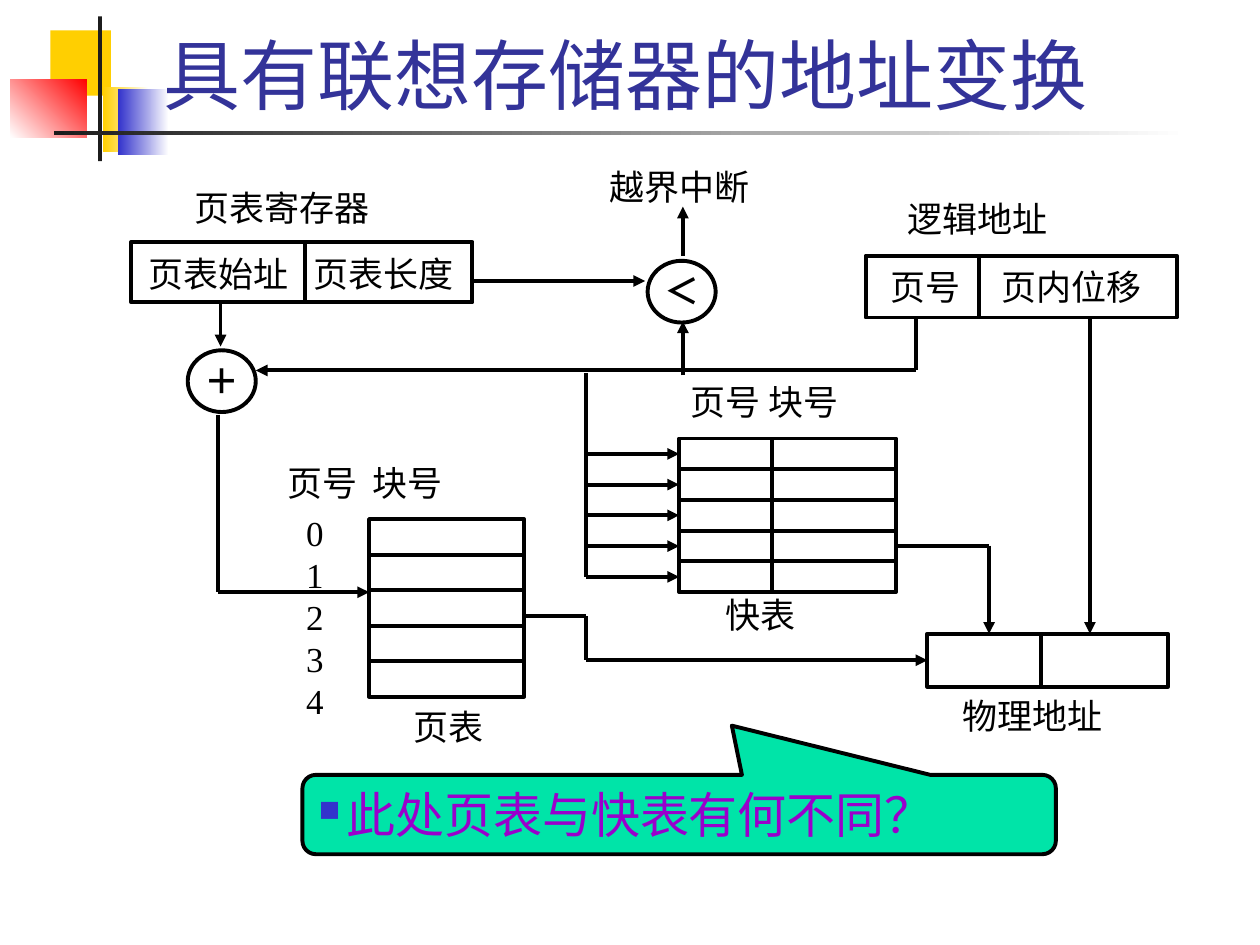
import pptx
import pptx.util
import pptx.dml.color
import pptx.enum.shapes
import pptx.enum.text
from lxml import etree
from pptx.oxml.ns import qn

Inches, Pt = pptx.util.Inches, pptx.util.Pt
RGBColor = pptx.dml.color.RGBColor
SHAPE = pptx.enum.shapes.MSO_SHAPE
ALIGN = pptx.enum.text.PP_ALIGN
ANCHOR = pptx.enum.text.MSO_ANCHOR

BLACK = RGBColor(0x00, 0x00, 0x00)
WHITE = RGBColor(0xFF, 0xFF, 0xFF)
CHARCOAL = RGBColor(0x1C, 0x1C, 0x1C)
YELLOW = RGBColor(0xFF, 0xCF, 0x01)
RED = RGBColor(0xFF, 0x00, 0x00)
BLUE = RGBColor(0x33, 0x33, 0xCC)
NAVY = RGBColor(0x33, 0x33, 0x99)
GREEN = RGBColor(0x00, 0xE4, 0xA8)
PURPLE = RGBColor(0x99, 0x00, 0xCC)

# Boxes are (left, top, width, height) in inches.
TABLE_REGISTER = (1.04, 1.92, 2.71, 0.48)
LOGICAL = (6.87, 2.03, 2.47, 0.49)
PHYSICAL = (7.36, 5.03, 1.91, 0.42)
PAGE_TABLE = (2.93, 4.12, 1.23, 1.41)
FAST_TABLE = (5.39, 3.48, 1.72, 1.22)
ROWS = 5


def add_shape(slide, kind, box, fill=WHITE, line=BLACK):
    sp = slide.shapes.add_shape(kind, *map(Inches, box))
    sp.shadow.inherit = False
    sp.fill.solid()
    sp.fill.fore_color.rgb = fill
    if line is None:
        sp.line.fill.background()
    else:
        sp.line.color.rgb = line
        sp.line.width = Pt(2.25)
    return sp


def fade(sp, start, end, angle):
    """Fill with a gradient; the angle runs counter-clockwise."""
    sp.fill.gradient()
    sp.fill.gradient_angle = angle
    for stop, color in zip(sp.fill.gradient_stops, (start, end)):
        stop.color.rgb = color


def set_text(sp, text, size=20, font="Times New Roman", color=BLACK,
             align=ALIGN.LEFT, insets=(0, 0, 0, 0), bold=False, tab=None):
    tf = sp.text_frame
    tf.word_wrap = True
    tf.vertical_anchor = ANCHOR.TOP
    tf.margin_left, tf.margin_top, tf.margin_right, tf.margin_bottom = map(Inches, insets)
    tf.text = text
    for p in tf.paragraphs:
        p.alignment = align
        if tab:
            tabs = etree.SubElement(p._p.get_or_add_pPr(), qn("a:tabLst"))
            etree.SubElement(tabs, qn("a:tab"), pos=str(Inches(tab)), algn="l")
        for r in p.runs:
            r.font.size, r.font.name, r.font.bold = Pt(size), font, bold
            r.font.color.rgb = color
    return tf


def add_label(slide, box, text, **style):
    return set_text(slide.shapes.add_textbox(*map(Inches, box)), text, **style)


def add_line(slide, start, end, arrow=False):
    line = slide.shapes.add_connector(pptx.enum.shapes.MSO_CONNECTOR.STRAIGHT,
                                      *map(Inches, (*start, *end)))
    line.line.color.rgb = BLACK
    line.line.width = Pt(2.25)
    if arrow:
        etree.SubElement(line.line._get_or_add_ln(), qn("a:tailEnd"), type="triangle")
    etree.SubElement(line._element.spPr, qn("a:effectLst"))
    return line


def add_route(slide, *points, arrow=True):
    """Join the points with straight lines and return the last one."""
    for start, end in zip(points[:-2], points[1:-1]):
        add_line(slide, start, end)
    return add_line(slide, points[-2], points[-1], arrow)


def add_grid(slide, box, rows=1, split=None):
    """Draw a box with equal rows and a divider at the offset split."""
    left, top, width, height = box
    sp = add_shape(slide, SHAPE.RECTANGLE, box)
    for i in range(1, rows):
        y = top + i * height / rows
        add_line(slide, (left, y), (left + width, y))
    if split:
        add_line(slide, (left + split, top), (left + split, top + height))
    return sp


def add_register(slide, box, split, text, inset, tab):
    sp = add_grid(slide, box, split=split)
    set_text(sp, text, insets=(inset, 0.08, 0, 0), tab=tab)


def add_operator(slide, box, sign):
    sp = add_shape(slide, SHAPE.OVAL, box)
    set_text(sp, sign, align=ALIGN.CENTER, bold=True)


def add_page_table(slide, box):
    left, top, _, height = box
    add_label(slide, (left - 0.65, top - 0.46, 1.67, 0.41), "页号\t块号", tab=0.68)
    tf = add_label(slide, (left - 0.5, top - 0.06, 0.46, 1.47),
                   "\n".join(map(str, range(ROWS))))
    for p in tf.paragraphs:
        p.line_spacing = Pt(24)
    add_grid(slide, box, ROWS)
    add_label(slide, (left + 0.35, top + height + 0.07, 0.81, 0.3), "页表")


def add_fast_table(slide, box):
    left, top, _, height = box
    add_label(slide, (left + 0.09, top - 0.46, 1.46, 0.46), "页号 块号")
    sp = add_grid(slide, box, ROWS, split=0.74)
    add_label(slide, (left + 0.37, top + height + 0.01, 0.82, 0.42), "快表")
    return sp


def add_search_bus(slide, box, table, x, top):
    """Feed every row of the table from one vertical line."""
    left, row_top, _, height = box
    row = height / ROWS
    add_line(slide, (x, top), (x, row_top + height - row / 2))
    for i in range(ROWS):
        y = row_top + (i + 0.5) * row
        arrow = add_line(slide, (x, y), (left, y), arrow=True)
        if i == ROWS // 2:
            arrow.end_connect(table, 1)


def add_diagram(slide):
    add_label(slide, (1.54, 1.48, 1.55, 0.36), "页表寄存器")
    add_register(slide, TABLE_REGISTER, 1.38, "页表始址\t页表长度", 0.14, 1.31)
    add_label(slide, (4.84, 1.31, 1.3, 0.44), "越界中断")
    add_operator(slide, (5.14, 2.07, 0.54, 0.49), "＜")
    add_operator(slide, (1.49, 2.78, 0.54, 0.49), "＋")
    add_label(slide, (7.2, 1.57, 1.25, 0.42), "逻辑地址")
    add_register(slide, LOGICAL, 0.9, "页号\t页内位移", 0.2, 0.88)
    add_page_table(slide, PAGE_TABLE)
    fast_table = add_fast_table(slide, FAST_TABLE)
    physical = add_grid(slide, PHYSICAL, split=0.9)
    add_label(slide, (7.64, 5.51, 1.46, 0.46), "物理地址")

    add_route(slide, (3.75, 2.23), (5.12, 2.23))
    add_route(slide, (5.42, 2.03), (5.42, 1.64))
    add_route(slide, (5.42, 2.98), (5.42, 2.55))
    add_route(slide, (1.75, 2.39), (1.75, 2.75))
    add_route(slide, (7.27, 2.53), (7.27, 2.94), (2.03, 2.94))
    add_route(slide, (1.73, 3.29), (1.73, 4.7), (2.93, 4.7))
    add_search_bus(slide, FAST_TABLE, fast_table, 4.65, 2.96)
    add_route(slide, (7.11, 4.33), (7.85, 4.33), (7.85, 5.03))
    add_route(slide, (8.65, 2.53), (8.65, 5.03))
    last = add_route(slide, (4.16, 4.89), (4.65, 4.89), (4.65, 5.24), (7.36, 5.24))
    last.end_connect(physical, 1)


def add_header(slide):
    def block(box, fill):
        return add_shape(slide, SHAPE.RECTANGLE, box, fill, None)

    block((0.4, 0.24, 0.48, 0.52), YELLOW)
    fade(block((0.82, 0.69, 0.36, 0.52), YELLOW), WHITE, YELLOW, 180)
    fade(block((0.94, 0.71, 0.4, 0.52), BLUE), WHITE, BLUE, 180)
    fade(block((0.08, 0.63, 0.61, 0.46), RED), RED, WHITE, 225)
    block((0.78, 0.13, 0.03, 1.15), CHARCOAL)
    fade(block((0.43, 1.04, 9, 0.03), CHARCOAL), WHITE, CHARCOAL, 180)
    tf = add_label(slide, (1.2, 0.17, 8.52, 0.83), "具有联想存储器的地址变换", size=44,
                   font="Karla", color=NAVY, insets=(0.1, 0.05, 0.1, 0.05))
    tf.vertical_anchor = ANCHOR.BOTTOM


def add_question(slide, box):
    sp = add_shape(slide, SHAPE.ROUNDED_RECTANGULAR_CALLOUT, box, GREEN)
    for i, value in enumerate((0.07, -1.12, 0.17)):
        sp.adjustments[i] = value
    tf = set_text(sp, "此处页表与快表有何不同？", size=28, font="Karla", color=PURPLE,
                  insets=(0.1, 0.05, 0.1, 0.05))
    pPr = tf.paragraphs[0]._p.get_or_add_pPr()
    pPr.set("marL", str(Inches(0.22)))
    pPr.set("indent", str(-Inches(0.22)))
    color = etree.SubElement(pPr, qn("a:buClr"))
    etree.SubElement(color, qn("a:srgbClr"), val=str(BLUE))
    etree.SubElement(pPr, qn("a:buSzPct"), val="60000")
    etree.SubElement(pPr, qn("a:buChar"), char="■")


def main():
    prs = pptx.Presentation()
    prs.slide_width, prs.slide_height = Inches(10), Inches(7.5)
    slide = prs.slides.add_slide(prs.slide_layouts[6])
    add_header(slide)
    add_diagram(slide)
    add_question(slide, (2.4, 6.15, 5.98, 0.63))
    prs.save("out.pptx")


if __name__ == "__main__":
    main()
